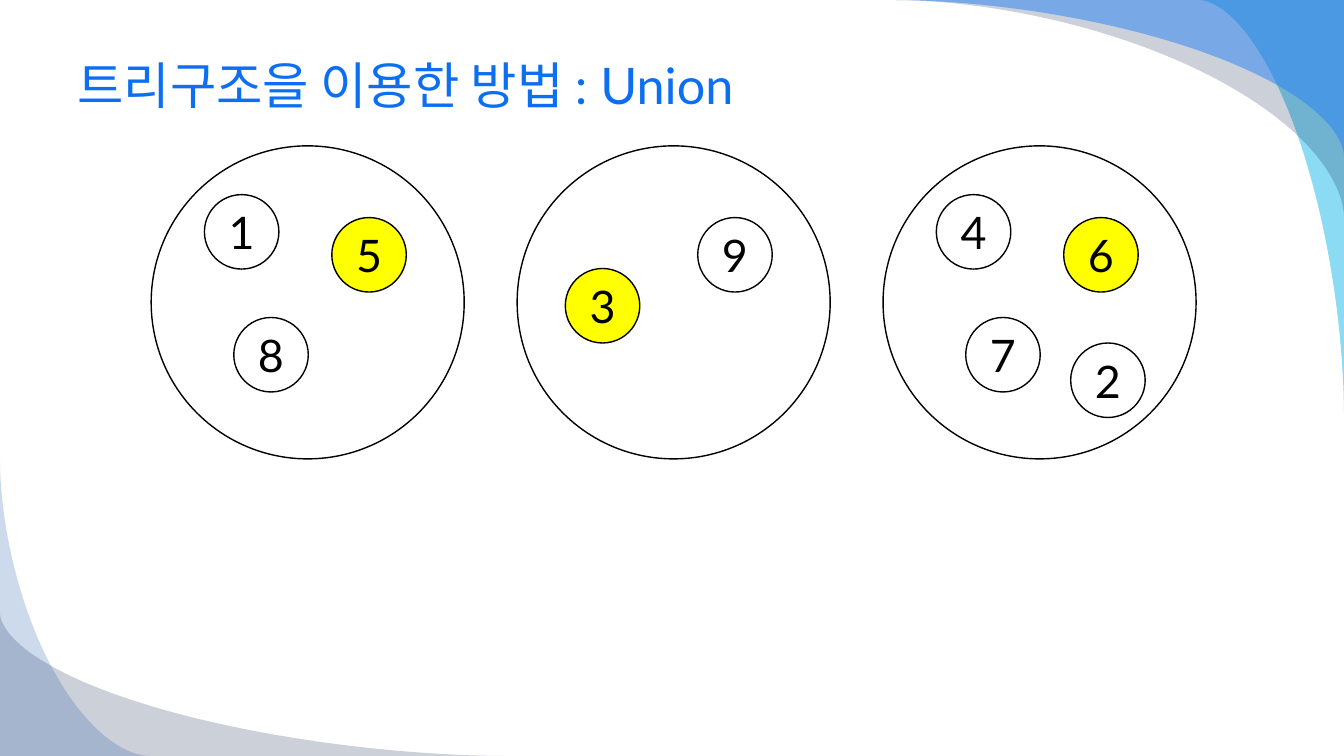
import math

import pptx
import pptx.dml.color
import pptx.enum.shapes
import pptx.enum.text
import pptx.oxml
import pptx.oxml.ns
import pptx.util

Pt = pptx.util.Pt
WIDTH, HEIGHT = 960, 540
FONT = "Lato"
COLORS = {
    "title": "0C6FF2",
    "ink": "000000",
    "member": "FFFFFF",
    "root": "FFFF00",
    "cyan": "00B1E9",
    "navy": "021741",
    "azure": "247FF4",
    "royal": "084AA1",
}

# Corner x and y, signed reach along each edge, colour, opacity in percent
SWOOSHES = [
    (WIDTH, 0, -103.7, 293.8, "cyan", 45),
    (WIDTH, 0, -320, 154.8, "navy", 20),
    (WIDTH, 0, -320, 111.6, "azure", 49),
    (0, HEIGHT, 360, -102.2, "navy", 20),
    (0, HEIGHT, 106.5, -210.2, "royal", 20),
]
SWOOSH_POWER = 1.77
SWOOSH_STEPS = 48

SET_LEFT, SET_TOP, SET_SIZE, SET_PITCH = 108, 104.2, 223.6, 261.4
NODE_SIZE = 53.2
SPOTS = {
    "upper left": (38, 34.8),
    "upper right": (129, 51.2),
    "middle left": (34.4, 87.6),
    "lower left": (59, 122.6),
    "lower right": (134, 140.8),
}
SETS = [
    [("1", "upper left"), ("5", "upper right"), ("8", "lower left")],
    [("9", "upper right"), ("3", "middle left")],
    [("4", "upper left"), ("6", "upper right"), ("7", "lower left"), ("2", "lower right")],
]
ROOTS = {"5", "3", "6"}


def rgb(name):
    return pptx.dml.color.RGBColor.from_string(COLORS[name])


def set_attributes(obj, values):
    for name, value in values.items():
        setattr(obj, name, value)


def style_text(tf, size, color, align):
    set_attributes(tf, {
        "word_wrap": True,
        "vertical_anchor": pptx.enum.text.MSO_ANCHOR.MIDDLE,
        "margin_left": Pt(7.2),
        "margin_right": Pt(7.2),
        "margin_top": Pt(3.6),
        "margin_bottom": Pt(3.6),
    })
    p = tf.paragraphs[0]
    p.alignment = align
    font = p.runs[0].font
    set_attributes(font, {"name": FONT, "size": Pt(size), "bold": False})
    font.color.rgb = rgb(color)


def add_swoosh(s, corner_x, corner_y, reach_x, reach_y, color, opacity):
    """Fill a slide corner up to an inward-curving edge (a superellipse)."""
    points = []
    for step in range(SWOOSH_STEPS + 1):
        angle = math.pi / 2 * step / SWOOSH_STEPS
        u = abs(math.sin(angle)) ** (2 / SWOOSH_POWER)
        v = abs(math.cos(angle)) ** (2 / SWOOSH_POWER)
        points.append((Pt(corner_x + reach_x * (1 - u)), Pt(corner_y + reach_y * (1 - v))))
    builder = s.shapes.build_freeform(Pt(corner_x), Pt(corner_y), scale=1.0)
    builder.add_line_segments(points, close=True)
    sp = builder.convert_to_shape()
    sp.shadow.inherit = False
    sp.line.fill.background()
    sp.fill.solid()
    sp.fill.fore_color.rgb = rgb(color)
    clr = sp.fill._xPr.find(".//" + pptx.oxml.ns.qn("a:srgbClr"))
    alpha = pptx.oxml.parse_xml(
        f'<a:alpha {pptx.oxml.ns.nsdecls("a")} val="{opacity * 1000}"/>')
    clr.append(alpha)


def add_circle(s, left, top, size, fill, label=""):
    sp = s.shapes.add_shape(
        pptx.enum.shapes.MSO_SHAPE.OVAL, Pt(left), Pt(top), Pt(size), Pt(size))
    sp.shadow.inherit = False
    sp.fill.solid()
    sp.fill.fore_color.rgb = rgb(fill)
    sp.line.color.rgb = rgb("ink")
    sp.line.width = Pt(1)
    if label:
        sp.text_frame.text = label
        style_text(sp.text_frame, 32, "ink", pptx.enum.text.PP_ALIGN.CENTER)


def add_set(s, left, members):
    add_circle(s, left, SET_TOP, SET_SIZE, "member")
    for label, spot in members:
        dx, dy = SPOTS[spot]
        fill = "root" if label in ROOTS else "member"
        add_circle(s, left + dx, SET_TOP + dy, NODE_SIZE, fill, label)


def add_title(s, text):
    title = s.shapes.title
    set_attributes(title, {"left": Pt(48), "top": Pt(24), "width": Pt(864), "height": Pt(72.6)})
    title.text_frame.text = text
    style_text(title.text_frame, 36, "title", pptx.enum.text.PP_ALIGN.LEFT)


def main():
    prs = pptx.Presentation()
    set_attributes(prs, {"slide_width": Pt(WIDTH), "slide_height": Pt(HEIGHT)})
    s = prs.slides.add_slide(prs.slide_layouts.get_by_name("Title Only"))
    for swoosh in SWOOSHES:
        add_swoosh(s, *swoosh)
    add_title(s, "트리구조을 이용한 방법 : Union")
    for i, members in enumerate(SETS):
        add_set(s, SET_LEFT + i * SET_PITCH, members)
    prs.save("out.pptx")


if __name__ == "__main__":
    main()
